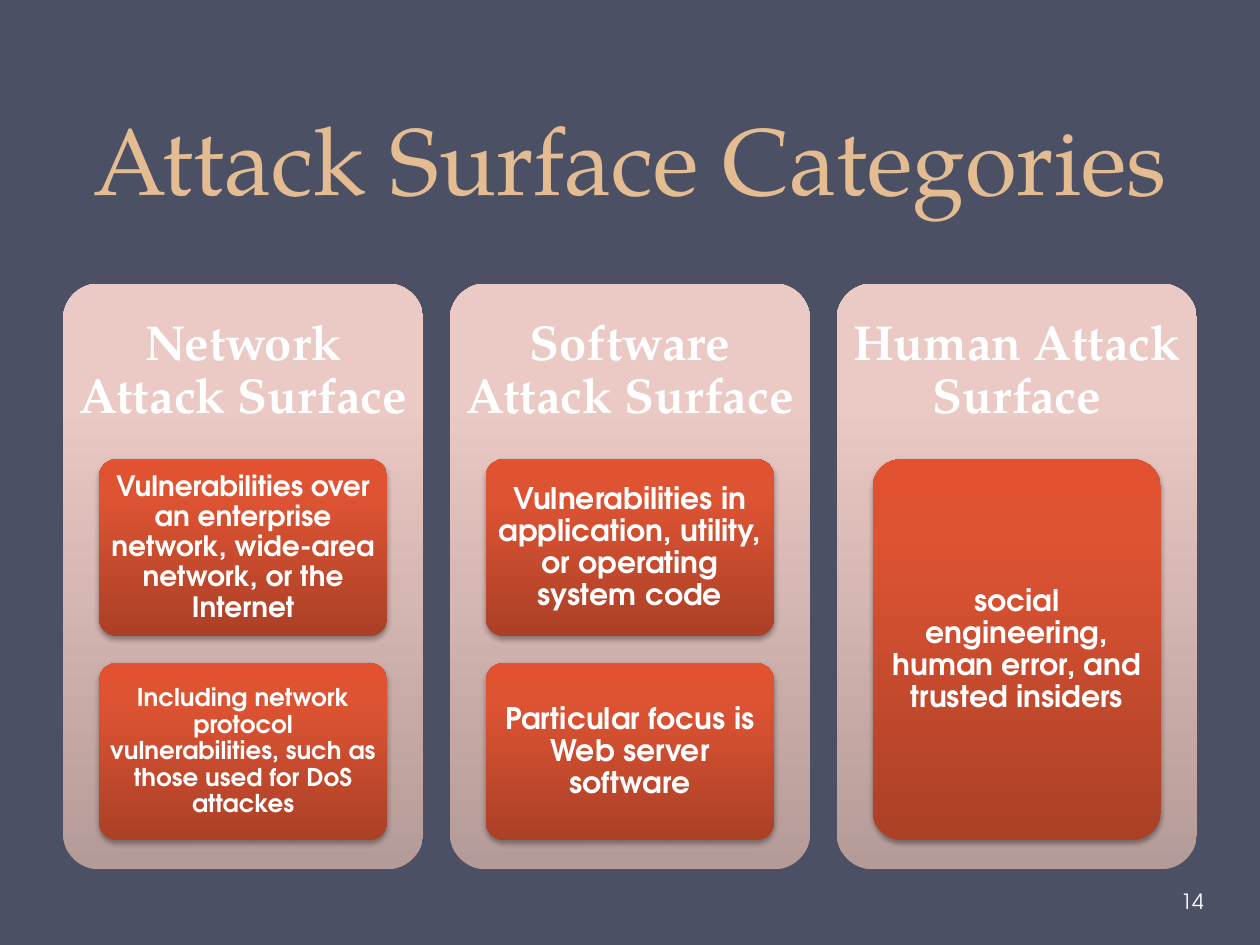
"""Build the attack surface categories slide."""
from copy import deepcopy
from dataclasses import dataclass

from pptx import Presentation
from pptx import util as u
from pptx.dml.color import RGBColor
from pptx.enum import shapes, text
from pptx.oxml import ns, parse_xml


@dataclass(frozen=True)
class Theme:
    background: str = "4B5064"
    title: str = "E3BC92"
    ink: str = "FFFFFF"
    panel: tuple = ((0, "B59B97"), (0.8, "EBC9C5"), (1, "EDC9C5"))
    card: tuple = ((0, "AB4027"), (0.8, "DE5433"), (1, "E35230"))
    serif: str = "TeX Gyre Pagella"
    sans: str = "TeX Gyre Adventor"
    title_size: int = 54
    heading_size: int = 28
    card_size: int = 17
    number_size: int = 12


SHADOW = (
    f'<a:outerShdw {ns.nsdecls("a")} blurRad="{u.Pt(3.1)}" dist="{u.Pt(1.8)}" '
    'dir="5400000" rotWithShape="0"><a:srgbClr val="000000">'
    '<a:alpha val="35000"/></a:srgbClr></a:outerShdw>'
)


def write(box, words, *, font, size, color, bold=False, spacing=0.9,
          align=text.PP_ALIGN.CENTER, anchor=text.MSO_ANCHOR.MIDDLE,
          margins=(0.1, 0.05, 0.1, 0.05)):
    frame = box.text_frame
    frame.word_wrap = True
    frame.auto_size = text.MSO_AUTO_SIZE.NONE
    frame.vertical_anchor = anchor
    (frame.margin_left, frame.margin_top,
     frame.margin_right, frame.margin_bottom) = map(u.Inches, margins)
    para = frame.paragraphs[0]
    para.alignment = align
    para.line_spacing = spacing
    span = para.add_run()
    span.text = words
    span.font.name = font
    span.font.size = u.Pt(size)
    span.font.bold = bold
    span.font.color.rgb = RGBColor.from_string(color)


class SlideBuilder:
    def __init__(self, deck, theme):
        self.deck, self.theme = deck, theme
        self.page = deck.slides.add_slide(deck.slide_layouts[5])
        fill = self.page.background.fill
        fill.solid()
        fill.fore_color.rgb = RGBColor.from_string(theme.background)

    def area(self, left, top, width, height):
        across, down = self.deck.slide_width, self.deck.slide_height
        return (round(left * across), round(top * down),
                round(width * across), round(height * down))

    def title(self, words, *shares):
        box = self.page.shapes.title
        box.left, box.top, box.width, box.height = self.area(*shares)
        write(box, words, font=self.theme.serif, size=self.theme.title_size,
              color=self.theme.title, spacing=u.Pt(58),
              anchor=text.MSO_ANCHOR.BOTTOM)

    def label(self, words, *shares, **style):
        box = self.page.shapes.add_textbox(*self.area(*shares))
        write(box, words, color=self.theme.ink, **style)

    def rounded(self, stops, *shares):
        box = self.page.shapes.add_shape(
            shapes.MSO_SHAPE.ROUNDED_RECTANGLE, *self.area(*shares))
        box.adjustments[0] = 0.1
        box.shadow.inherit = False
        box.line.fill.background()
        box.fill.gradient()
        box.fill.gradient_angle = 90
        stop_list = box.element.spPr.find(".//" + ns.qn("a:gsLst"))
        stop_list.append(deepcopy(stop_list[-1]))
        for stop, (position, color) in zip(box.fill.gradient_stops, stops):
            stop.position = position
            stop.color.rgb = RGBColor.from_string(color)
        return box

    def card(self, words, size, *shares):
        box = self.rounded(self.theme.card, *shares)
        box.element.spPr.find(ns.qn("a:effectLst")).append(parse_xml(SHADOW))
        side = 0.05 if size >= self.theme.card_size else 0.04
        write(box, words, font=self.theme.sans, size=size, bold=True,
              color=self.theme.ink,
              margins=(side, side - 0.01, side, side - 0.01))

    def column(self, heading, cards, left, top, width, height):
        self.rounded(self.theme.panel, left, top, width, height)
        self.label(heading, left, top, width, 0.3 * height,
                   font=self.theme.serif, size=self.theme.heading_size,
                   bold=True, margins=(0.12,) * 4)
        gap = 0.046 * height
        card_height = (0.65 * height - gap * (len(cards) - 1)) / len(cards)
        for row, (words, size) in enumerate(cards):
            self.card(words, size, left + 0.1 * width,
                      top + 0.3 * height + row * (card_height + gap),
                      0.8 * width, card_height)


def main():
    deck = Presentation()
    deck.slide_width, deck.slide_height = u.Inches(10), u.Inches(7.5)
    theme = Theme()
    builder = SlideBuilder(deck, theme)
    builder.title("Attack Surface Categories", 0.05, 0, 0.9, 1.75 / 7.5)
    columns = (
        ("Network Attack Surface", (
            ("Vulnerabilities over an enterprise network, wide-area network, "
             "or the Internet", 16),
            ("Including network protocol vulnerabilities, such as those used "
             "for DoS attackes", 14))),
        ("Software Attack Surface", (
            ("Vulnerabilities in application, utility, or operating system "
             "code", theme.card_size),
            ("Particular focus is Web server software", theme.card_size))),
        ("Human Attack Surface", (
            ("social engineering, human error, and trusted insiders",
             theme.card_size),)),
    )
    width = 0.286
    pitch = (0.9 - width) / (len(columns) - 1)
    for index, (heading, cards) in enumerate(columns):
        builder.column(heading, cards, 0.05 + index * pitch, 0.3, width, 0.62)
    builder.label("14", 0.934, 6.95 / 7.5, 0.061, 0.4 / 7.5, font=theme.sans,
                  size=theme.number_size, spacing=1.0,
                  align=text.PP_ALIGN.LEFT, margins=(0.03, 0.05, 0.05, 0.05))
    deck.save("out.pptx")


if __name__ == "__main__":
    main()
